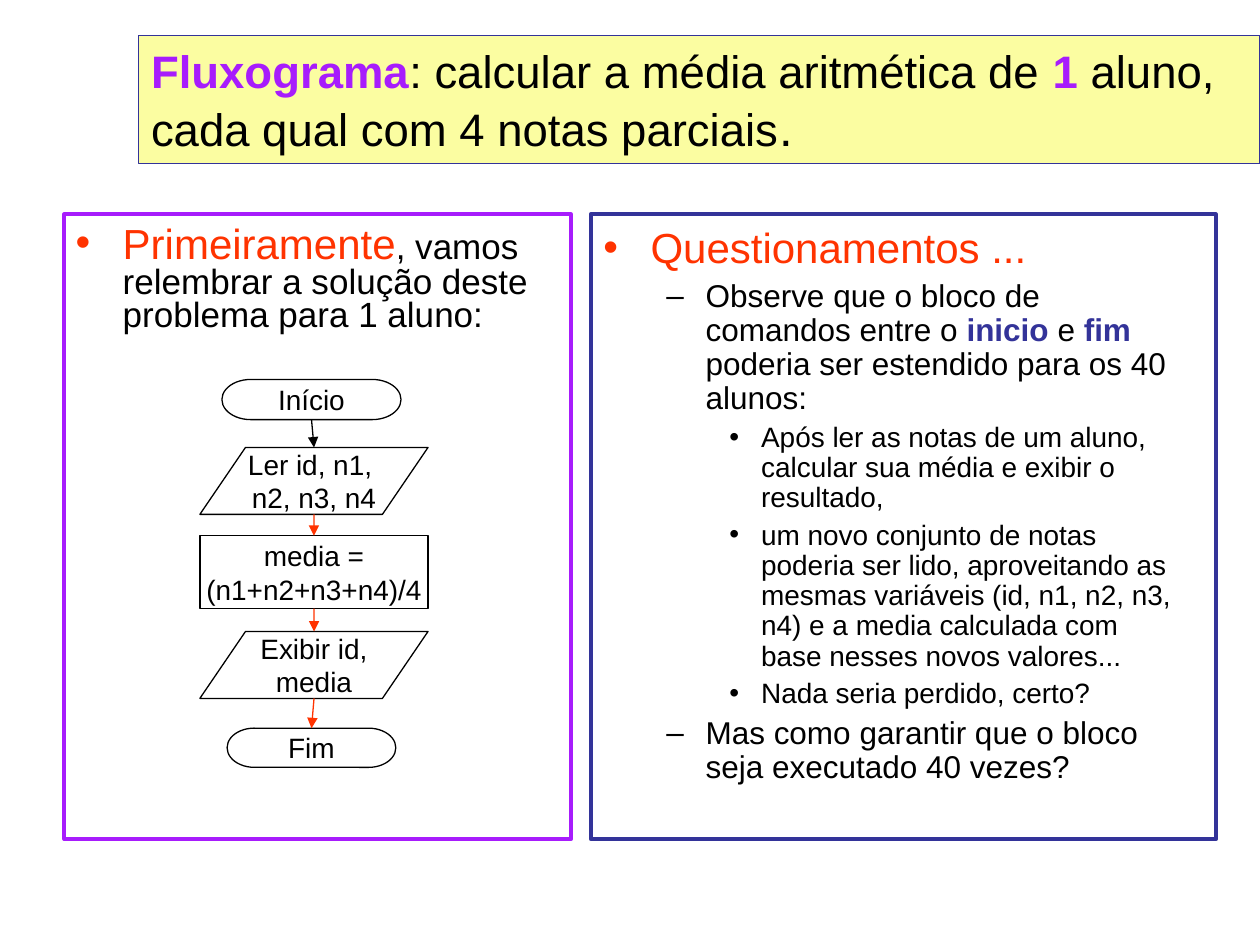
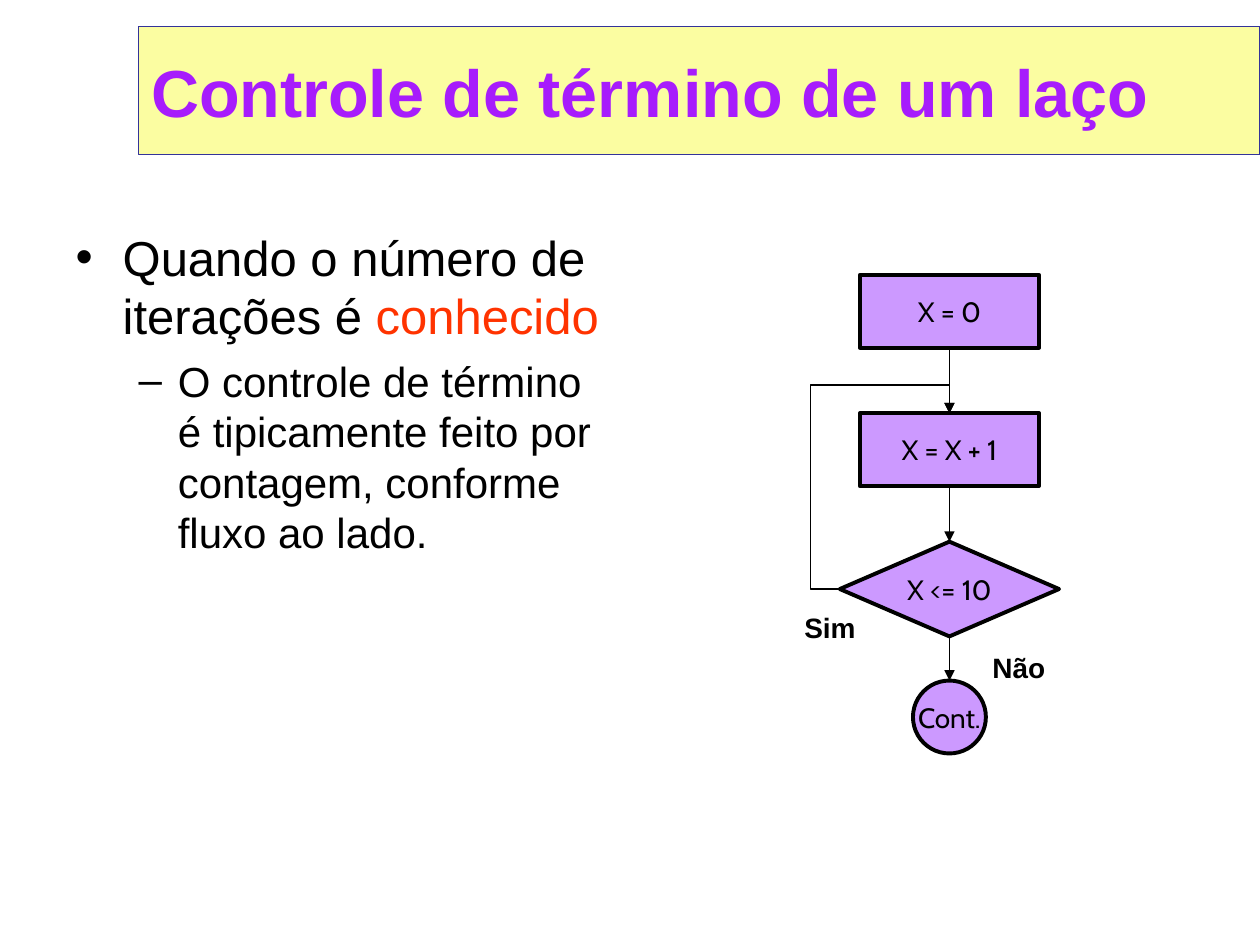
from dataclasses import dataclass

from lxml.etree import SubElement
from pptx import Presentation
from pptx.dml.color import RGBColor
from pptx.enum.shapes import MSO_CONNECTOR, MSO_SHAPE
from pptx.enum.text import MSO_ANCHOR, MSO_AUTO_SIZE, PP_ALIGN
from pptx.oxml.ns import qn
from pptx.util import Cm, Pt

BLACK = RGBColor(0x00, 0x00, 0x00)
PURPLE = RGBColor(0xA7, 0x1C, 0xFC)
NAVY = RGBColor(0x33, 0x33, 0x99)
ORANGE = RGBColor(0xFF, 0x33, 0x00)
YELLOW = RGBColor(0xFB, 0xFD, 0xA1)
LILAC = RGBColor(0xCC, 0x99, 0xFF)

TEXT_FONT = "Arial"
NODE_FONT = "Cabin"
NODE_SIZE = 16
THIN = 0.75
THICK = 2.25
TOP, LEFT, BOTTOM = 0, 1, 2
LEVELS = [("•", 0.95, 0.95), ("–", 2.06, 0.79), ("•", 3.18, 0.64)]


@dataclass
class Box:
    left: float
    top: float
    width: float
    height: float

    @property
    def axis(self):
        return self.left + self.width / 2

    def lengths(self):
        return [Cm(side) for side in (self.left, self.top, self.width, self.height)]


@dataclass
class Span:
    text: str
    color: RGBColor = BLACK
    bold: bool = False
    size: float = 0


@dataclass
class Item:
    level: int
    size: float
    spans: list
    bullet_color: RGBColor = BLACK


@dataclass
class Node:
    kind: MSO_SHAPE
    top: float
    width: float
    height: float
    lines: list
    shift: float = 0


def place(shape, box):
    shape.left, shape.top, shape.width, shape.height = box.lengths()


def add_spans(para, spans, size, font=TEXT_FONT):
    for span in spans:
        run = para.add_run()
        run.text = span.text
        run.font.name = font
        run.font.size = Pt(span.size or size)
        run.font.bold = span.bold
        run.font.color.rgb = span.color


def paint(shape, fill, line, weight):
    if fill is None:
        shape.fill.background()
    else:
        shape.fill.solid()
        shape.fill.fore_color.rgb = fill
    if line is None:
        shape.line.fill.background()
    else:
        shape.line.color.rgb = line
        shape.line.width = Pt(weight)


def add_title(page, top, size, spans):
    title = page.shapes.title
    place(title, Box(2.79, top, 22.61, 2.59))
    paint(title, YELLOW, NAVY, THIN)
    frame = title.text_frame
    frame.auto_size = MSO_AUTO_SIZE.NONE
    frame.word_wrap = True
    frame.vertical_anchor = MSO_ANCHOR.MIDDLE
    para = frame.paragraphs[0]
    para.alignment = PP_ALIGN.LEFT
    add_spans(para, spans, size)


def set_bullet(para, level, color):
    mark, margin, hanging = LEVELS[level]
    para.level = level
    props = para._p.get_or_add_pPr()
    props.set("marL", str(Cm(margin)))
    props.set("indent", str(-Cm(hanging)))
    tint = SubElement(props, qn("a:buClr"))
    SubElement(tint, qn("a:srgbClr")).set("val", str(color))
    SubElement(props, qn("a:buChar")).set("char", mark)


def fill_body(body, box, items, line_spacing=1.0):
    place(body, box)
    frame = body.text_frame
    frame.auto_size = MSO_AUTO_SIZE.NONE
    frame.word_wrap = True
    for index, item in enumerate(items):
        para = frame.add_paragraph() if index else frame.paragraphs[0]
        set_bullet(para, item.level, item.bullet_color)
        para.line_spacing = line_spacing
        para.space_before = Pt(item.size / 4 if index else 0)
        add_spans(para, item.spans, item.size)


def add_shape(page, kind, box, fill=None, line=None, weight=THIN):
    shape = page.shapes.add_shape(kind, *box.lengths())
    shape.shadow.inherit = False
    paint(shape, fill, line, weight)
    return shape


def add_label(shape, lines, font=TEXT_FONT, bold=False):
    frame = shape.text_frame
    frame.word_wrap = False
    frame.vertical_anchor = MSO_ANCHOR.MIDDLE
    for index, line in enumerate(lines):
        para = frame.add_paragraph() if index else frame.paragraphs[0]
        para.alignment = PP_ALIGN.CENTER
        add_spans(para, [Span(line, bold=bold)], NODE_SIZE, font)


def add_nodes(page, box, nodes, fill, weight, font):
    shapes = []
    for node in nodes:
        left = box.axis + node.shift - node.width / 2
        spot = Box(left, box.top + node.top, node.width, node.height)
        shape = add_shape(page, node.kind, spot, fill, BLACK, weight)
        add_label(shape, node.lines, font)
        shapes.append(shape)
    return shapes


def add_arrow(page, start, end, color=BLACK, kind=MSO_CONNECTOR.STRAIGHT):
    arrow = page.shapes.add_connector(kind, *start, *end)
    arrow.line.color.rgb = color
    arrow.line.width = Pt(THIN)
    SubElement(arrow.line._get_or_add_ln(), qn("a:tailEnd")).set("type", "triangle")
    SubElement(arrow._element.spPr, qn("a:effectLst"))
    return arrow


def link_down(page, box, upper, lower, color):
    axis = Cm(box.axis)
    arrow = add_arrow(page, (axis, upper.top + upper.height), (axis, lower.top), color)
    slanted = MSO_SHAPE.FLOWCHART_DATA
    if upper.auto_shape_type != slanted:
        arrow.begin_connect(upper, BOTTOM)
    if lower.auto_shape_type != slanted:
        arrow.end_connect(lower, TOP)


def bend(connector, *adjustments):
    shape = connector._element.spPr.find(qn("a:prstGeom"))
    shape.set("prst", "bentConnector4")
    guides = shape.find(qn("a:avLst"))
    for number, value in enumerate(adjustments, 1):
        guide = SubElement(guides, qn("a:gd"))
        guide.set("name", f"adj{number}")
        guide.set("fmla", f"val {round(value * 100000)}")


def draw_average_flow(page, box):
    nodes = [
        Node(MSO_SHAPE.FLOWCHART_TERMINATOR, 0, 3.61, 0.81, ["Início"], -0.05),
        Node(MSO_SHAPE.FLOWCHART_DATA, 1.37, box.width, 1.35, ["Ler id, n1, ", "n2, n3, n4"]),
        Node(MSO_SHAPE.FLOWCHART_PROCESS, 3.15, box.width, 1.47, ["media =", "(n1+n2+n3+n4)/4"]),
        Node(MSO_SHAPE.FLOWCHART_DATA, 5.08, box.width, 1.35, ["Exibir id,", "media"]),
        Node(MSO_SHAPE.FLOWCHART_TERMINATOR, 7.03, 3.4, 0.79, ["Fim"], -0.05),
    ]
    shapes = add_nodes(page, box, nodes, None, THIN, TEXT_FONT)
    colors = [BLACK, ORANGE, ORANGE, ORANGE]
    for upper, lower, color in zip(shapes, shapes[1:], colors):
        link_down(page, box, upper, lower, color)


def draw_loop_flow(page, box):
    nodes = [
        Node(MSO_SHAPE.FLOWCHART_PROCESS, 0, 3.61, 1.47, ["X = 0"]),
        Node(MSO_SHAPE.FLOWCHART_PROCESS, 2.79, 3.61, 1.47, ["X = X + 1"]),
        Node(MSO_SHAPE.FLOWCHART_DECISION, 5.38, box.width, 1.91, ["X <= 10"]),
        Node(MSO_SHAPE.OVAL, 8.18, 1.47, 1.47, ["Cont."]),
    ]
    shapes = add_nodes(page, box, nodes, LILAC, THICK, NODE_FONT)
    for upper, lower in zip(shapes, shapes[1:]):
        link_down(page, box, upper, lower, BLACK)
    step, test = shapes[1:3]
    start = (test.left, test.top + test.height // 2)
    loop = add_arrow(page, start, (Cm(box.axis), step.top), kind=MSO_CONNECTOR.ELBOW)
    bend(loop, -0.27, 1.16)
    for text, left, top in [("Não", 2.58, 7.59), ("Sim", -1.23, 6.78)]:
        spot = Box(box.left + left, box.top + top, 2.06, 0.64)
        label = add_shape(page, MSO_SHAPE.FLOWCHART_PROCESS, spot)
        add_label(label, [text], bold=True)


def build_average_page(deck):
    page = deck.slides.add_slide(deck.slide_layouts[3])
    add_title(page, 0.71, 26, [
        Span("Fluxograma", PURPLE, True),
        Span(": calcular a média aritmética de "),
        Span("1", PURPLE, True),
        Span(" aluno, cada qual com 4 notas parciais"),
        Span(".", size=28),
    ])
    draw_average_flow(page, Box(4.03, 7.65, 4.6, 7.82))
    fill_body(page.placeholders[1], Box(1.27, 4.45, 10.03, 12.57), [
        Item(0, 24, [
            Span("Primeiramente", ORANGE),
            Span(", vamos relembrar a solução deste problema para 1 aluno:", size=20),
        ], ORANGE),
    ], 0.8)
    fill_body(page.placeholders[2], Box(11.91, 4.45, 12.22, 12.57), [
        Item(0, 24, [Span("Questionamentos ...", ORANGE)], ORANGE),
        Item(1, 18, [
            Span("Observe que o bloco de comandos entre o "),
            Span("inicio", NAVY, True),
            Span(" e "),
            Span("fim", NAVY, True),
            Span(" poderia ser estendido para os 40 alunos:"),
        ]),
        Item(2, 16, [Span("Após ler as notas de um aluno, calcular sua média e exibir o resultado,")]),
        Item(2, 16, [Span(
            "um novo conjunto de notas poderia ser lido, aproveitando as mesmas variáveis "
            "(id, n1, n2, n3, n4) e a media calculada com base nesses novos valores..."
        )]),
        Item(2, 16, [Span("Nada seria perdido, certo?")]),
        Item(1, 18, [Span("Mas como garantir que o bloco seja executado 40 vezes?")]),
    ], 0.9)
    for left, width, color in [(1.3, 10.21, PURPLE), (11.91, 12.6, NAVY)]:
        add_shape(page, MSO_SHAPE.RECTANGLE, Box(left, 4.32, width, 12.6), line=color, weight=THICK)


def build_loop_page(deck):
    page = deck.slides.add_slide(deck.slide_layouts[1])
    add_title(page, 0.53, 38, [Span("Controle de término de um laço", PURPLE, True)])
    fill_body(page.placeholders[1], Box(1.27, 4.45, 11.23, 12.57), [
        Item(0, 28, [Span("Quando o número de iterações é "), Span("conhecido", ORANGE)]),
        Item(1, 24, [Span(
            "O controle de término é tipicamente feito por contagem, conforme fluxo ao lado."
        )]),
    ])
    draw_loop_flow(page, Box(16.93, 5.54, 4.42, 9.65))


def main():
    deck = Presentation()
    deck.slide_width, deck.slide_height = Cm(25.4), Cm(19.05)
    build_average_page(deck)
    build_loop_page(deck)
    deck.save("out.pptx")


if __name__ == "__main__":
    main()
